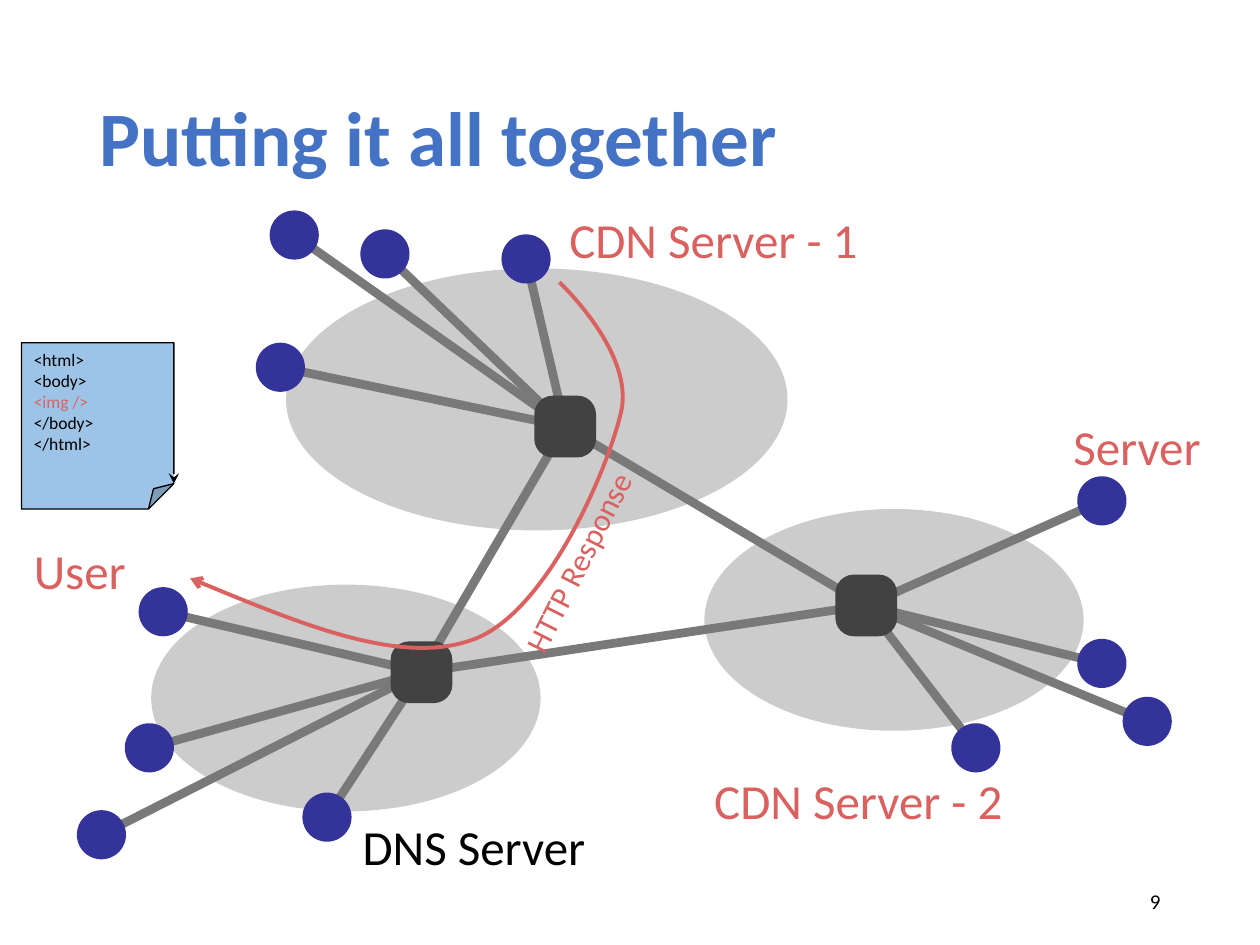
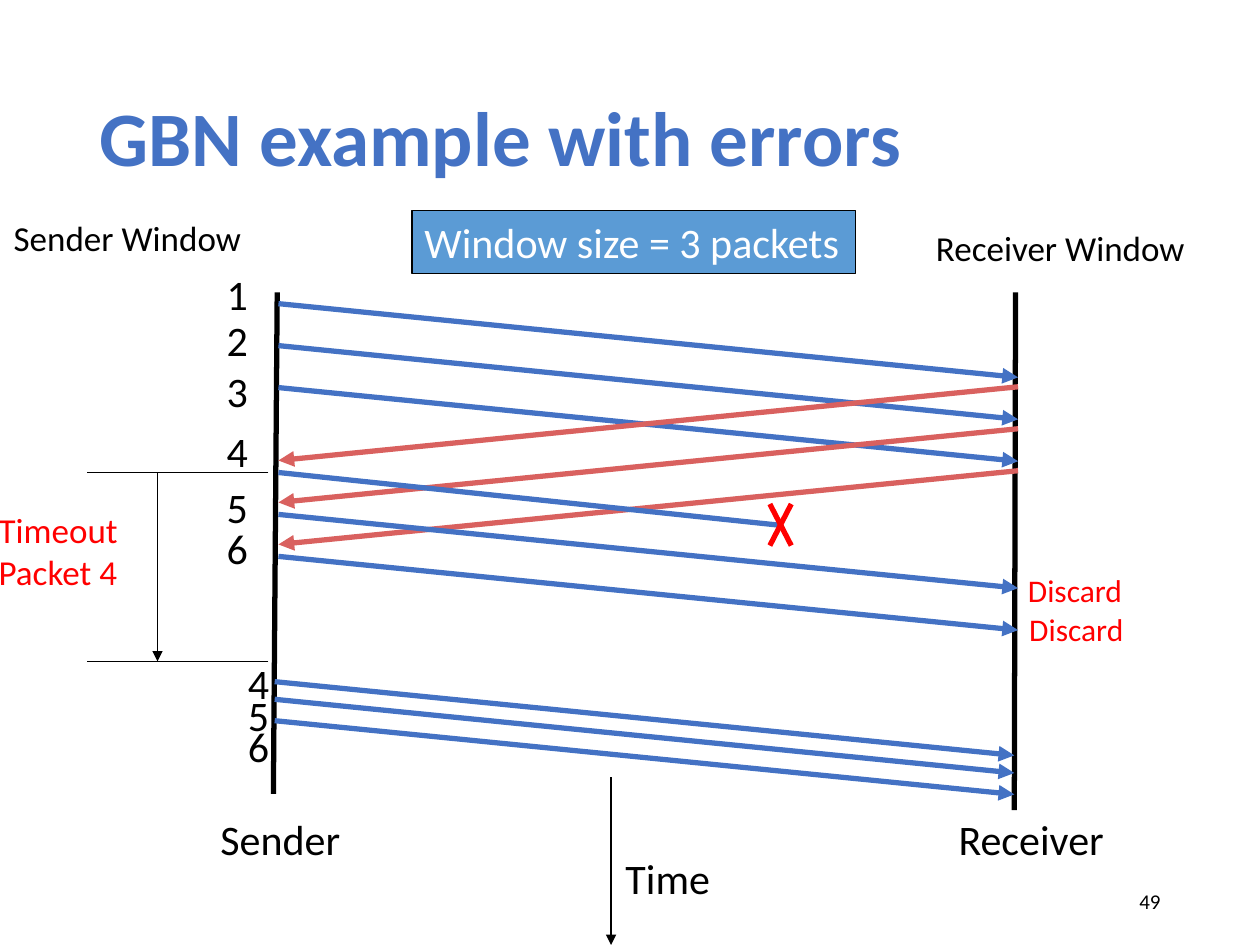
from collections import namedtuple

from lxml import etree
from pptx import Presentation
from pptx.dml.color import RGBColor
from pptx.enum.shapes import MSO_CONNECTOR, MSO_SHAPE
from pptx.enum.text import MSO_ANCHOR, MSO_AUTO_SIZE, PP_ALIGN
from pptx.oxml.ns import qn
from pptx.util import Inches, Pt

STRAIGHT = MSO_CONNECTOR.STRAIGHT
OVAL, RECT = MSO_SHAPE.OVAL, MSO_SHAPE.RECTANGLE
ROUNDED, FOLDED = MSO_SHAPE.ROUNDED_RECTANGLE, MSO_SHAPE.FOLDED_CORNER
TOP, MIDDLE = MSO_ANCHOR.TOP, MSO_ANCHOR.MIDDLE
LEFT, CENTER, RIGHT = PP_ALIGN.LEFT, PP_ALIGN.CENTER, PP_ALIGN.RIGHT

FONT = "Calibri"
COLORS = {
    "title": "4472C4", "black": "000000", "white": "FFFFFF", "coral": "D9615F",
    "red": "FF0000", "cloud": "CCCCCC", "link": "797979", "host": "333399",
    "router": "424242", "paper": "9DC3E6", "banner": "5B9BD5",
}

# Grid of 100 columns by 75 rows of square cells
SLIDE_W, SLIDE_H = Inches(10), Inches(7.5)
CELL = SLIDE_W / 100
Box = namedtuple("Box", "x y w h")
PAGE = Box(0, 0, 100, 75)


def cells(*values):
    return [round(v * CELL) for v in values]


def within(box, x, y, w, h):
    return Box(box.x + x, box.y + y, w, h)


def around(x, y, size):
    return Box(x - size / 2, y - size / 2, size, size)


def rgb(name):
    return RGBColor.from_string(COLORS[name])


def add_end(shape, end, kind):
    ln = shape.element.spPr.find(qn("a:ln"))
    etree.SubElement(ln, qn(f"a:{end}End"), type=kind)


def add_line(s, start, end, color, width, arrow=None):
    c = s.shapes.add_connector(STRAIGHT, *cells(*start, *end))
    c.line.color.rgb = rgb(color)
    c.line.width = Pt(width)
    if arrow:
        add_end(c, "tail", arrow)
    etree.SubElement(c.element.spPr, qn("a:effectLst"))
    return c


def add_shape(s, kind, box, fill, line=None):
    sp = s.shapes.add_shape(kind, *cells(*box))
    sp.shadow.inherit = False
    sp.fill.solid()
    sp.fill.fore_color.rgb = rgb(fill)
    if line:
        sp.line.color.rgb = rgb(line)
        sp.line.width = Pt(0.75)
    else:
        sp.line.fill.background()
    return sp


def write(sp, lines, size, align=LEFT, anchor=TOP, wrap=False, grow=True,
          bold=False, spacing=None):
    """Fill a shape with one run for each (text, colour) line."""
    tf = sp.text_frame
    tf.word_wrap = wrap
    tf.auto_size = MSO_AUTO_SIZE.SHAPE_TO_FIT_TEXT if grow else MSO_AUTO_SIZE.NONE
    tf.vertical_anchor = anchor
    for i, (text, color) in enumerate(lines):
        p = tf.add_paragraph() if i else tf.paragraphs[0]
        p.alignment = align
        if spacing:
            p.line_spacing = spacing
        r = p.add_run()
        r.text = text
        r.font.name = FONT
        r.font.size = Pt(size)
        r.font.bold = bold
        r.font.color.rgb = rgb(color)


def add_text(s, box, lines, size, color="black", **style):
    sp = s.shapes.add_textbox(*cells(*box))
    write(sp, [(text, color) for text in lines.split("\n")], size, **style)
    return sp


def add_curve(s, points, color, width):
    """Chain cubic Bezier curves: a start, then three points per curve."""
    start, *rest = [cells(*pt) for pt in points]
    builder = s.shapes.build_freeform(*start)
    builder.add_line_segments(rest, close=False)
    sp = builder.convert_to_shape()
    segments = list(sp.element.iter(qn("a:lnTo")))
    for i in range(0, len(segments), 3):
        first, *others = segments[i:i + 3]
        first.tag = qn("a:cubicBezTo")
        for seg in others:
            first.append(seg[0])
            seg.getparent().remove(seg)
    sp.shadow.inherit = False
    sp.fill.background()
    sp.line.color.rgb = rgb(color)
    sp.line.width = Pt(width)
    add_end(sp, "head", "arrow")


def new_slide(prs, title, number):
    """Blank slide with the shared title and page number."""
    s = prs.slides.add_slide(prs.slide_layouts[6])
    add_text(s, within(PAGE, 6.9, 4, 86.2, 14.5), title, 44, "title",
             anchor=MIDDLE, wrap=True, grow=False, bold=True, spacing=0.9)
    add_text(s, within(PAGE, 70.6, 69.5, 22.5, 4), str(number), 12,
             align=RIGHT, anchor=MIDDLE, wrap=True, grow=False)
    return s


# Cloud box, then router and host centres measured from its corner
CLUSTERS = [
    (Box(55.9, 40.4, 30.1, 17.6), (12.85, 7.65),
     [(31.55, -0.65), (21.55, 18.95), (31.55, 12.25), (35.15, 16.85)]),
    (Box(22.7, 21.3, 39.8, 20.8), (22.15, 12.55),
     [(-0.45, 7.85), (0.65, -2.65), (7.85, -1.15), (19.05, -0.75)]),
    (Box(12, 46.4, 30.9, 18), (21.45, 6.95),
     [(0.95, 2.15), (13.95, 18.45), (-0.15, 12.95), (-3.95, 19.85)]),
]


def draw_cluster(s, box, router, hosts):
    """Hosts of one network, each linked to its router."""
    hub = (box.x + router[0], box.y + router[1])
    centers = [(box.x + x, box.y + y) for x, y in hosts]
    for center in centers:
        add_line(s, center, hub, "link", 5)
    for center in centers:
        add_shape(s, OVAL, around(*center, 3.9), "host")
    return hub


def draw_network(s, clusters):
    for box, _, _ in clusters:
        add_shape(s, OVAL, box, "cloud")
    hubs = [draw_cluster(s, *cluster) for cluster in clusters]
    # Backbone between the routers
    for i, hub in enumerate(hubs):
        add_line(s, hub, hubs[i - 1], "link", 5)
    for hub in hubs:
        add_shape(s, ROUNDED, around(*hub, 4.9), "router").adjustments[0] = 0.3


def draw_html_page(s, box):
    sp = add_shape(s, FOLDED, box, "paper", "black")
    add_end(sp, "tail", "stealth")
    tags = ["<html>", "<body>", "<img />", "</body>", "</html>"]
    write(sp, [(t, "coral" if "img" in t else "black") for t in tags], 10, grow=False)


def draw_response(s, box):
    """Curved route of the response, with its slanted label."""
    route = [(0, 23.5), (8.5, 27), (16.9, 30.5), (22.6, 28.3), (28.3, 26.1),
             (33.1, 15), (34.2, 10.3), (35.3, 5.6), (29.3, 0), (29.3, 0)]
    add_curve(s, [(box.x + x, box.y + y) for x, y in route], "coral", 2.25)
    label = add_text(s, within(box, 21.9, 20.1, 17.8, 4), "HTTP Response", 18, "coral")
    label.rotation = 296.8


def build_cdn_slide(prs):
    s = new_slide(prs, "Putting it all together", 9)
    draw_network(s, CLUSTERS)
    draw_html_page(s, within(PAGE, 1.7, 27.2, 12.1, 13.2))
    for text, x, y, w, color in [
        ("User", 1.7, 42.4, 9.4, "coral"),
        ("Server", 84.2, 32.6, 12.2, "coral"),
        ("DNS Server", 27.8, 64.3, 23, "black"),
        ("CDN Server - 1", 44.2, 16.1, 25.2, "coral"),
        ("CDN Server - 2", 55.7, 60.7, 25.2, "coral"),
    ]:
        add_text(s, within(PAGE, x, y, w, 5.7), text, 28, color)
    draw_response(s, within(PAGE, 15.1, 22.4, 34.3, 29))


PITCH, DROP = 3.33, 5.85  # rows between packets, rows fallen in transit


def draw_packets(s, box, tops, color="title", back=False):
    """Parallel arrows across the box, leftwards if back."""
    sides = (box.x, box.x + box.w)
    start, end = reversed(sides) if back else sides
    for top in tops:
        y = box.y + top
        add_line(s, (start, y), (end, y + DROP), color, 3, "triangle")


def draw_numbers(s, box, tops, first):
    for n, top in enumerate(tops, first):
        add_text(s, within(box, 0, top, 3.7, 4.9), str(n), 24)


def draw_exchange(s, box):
    """Sender and receiver axes with the packets between them."""
    right, bottom = box.x + box.w, box.y + box.h
    add_line(s, (box.x - 0.1, box.y), (box.x - 0.4, bottom - 1.3), "black", 3)
    add_line(s, (right - 0.2, box.y), (right - 0.3, bottom), "black", 3)
    # Packets 1 to 3 and their acknowledgements
    draw_packets(s, box, [0.9 + PITCH * i for i in range(3)])
    draw_packets(s, box, [7.5 + PITCH * i for i in range(3)], "coral", back=True)
    # Packet 4 is lost, 5 and 6 arrive out of order
    add_line(s, (box.x, box.y + 14.3), (box.x + 39.9, box.y + 18.5), "title", 3)
    draw_cross(s, within(box, 39, 16.8, 1.7, 3.3))
    draw_packets(s, box, [14.3 + PITCH * i for i in (1, 2)])
    draw_numbers(s, within(box, -5.1, 0, 3.7, 24), [-2.4, 1.3, 5.3, 10.1, 14.5, 17.8], 1)
    # Packets 4 to 6 are sent again
    draw_packets(s, within(box, -0.3, 0, box.w, box.h), [30.9, 32.3, 34])
    draw_numbers(s, within(box, -3.4, 28.5, 3.7, 10), [2.5 * i for i in range(3)], 4)
    for x, y in [(58.5, 21.6), (58.6, 24.7)]:
        add_text(s, within(box, x, y, 10.2, 3.7), "Discard", 18, "red")


def draw_cross(s, box):
    top, bottom = box.y, box.y + box.h
    for y1, y2 in [(top, bottom), (bottom, top)]:
        add_line(s, (box.x, y1), (box.x + box.w, y2), "red", 3)


def draw_timeout(s, box):
    """Time span between two rules, with its label on the left."""
    top, bottom = box.y, box.y + box.h
    for y in (top, bottom):
        add_line(s, (box.x + box.w, y), (box.x, y), "black", 0.75)
    x = box.x + 5.6
    add_line(s, (x, top), (x, bottom), "black", 0.75, "triangle")
    add_text(s, within(box, -8, 2.4, 13.2, 5.5), "Timeout\nPacket 4", 20, "red")


def build_gbn_slide(prs):
    s = new_slide(prs, "GBN example with errors", 49)
    # Time axis
    add_line(s, (48.5, 61.7), (48.5, 75), "black", 1, "triangle")
    banner = add_shape(s, RECT, within(PAGE, 32.7, 16.7, 35.2, 5), "banner", "black")
    write(banner, [("Window size = 3 packets", "white")], 24)
    # Axis captions and window headings
    for text, x, y, w in [("Time", 48.3, 67.2, 9.4), ("Sender", 15.8, 64.1, 12.9),
                          ("Receiver", 74.2, 64.1, 15.3)]:
        add_text(s, within(PAGE, x, y, w, 5), text, 24, align=CENTER, anchor=MIDDLE)
    for text, x, y, w in [("Sender Window", 0.1, 16.7, 22.8),
                          ("Receiver Window", 73.3, 17.5, 25)]:
        add_text(s, within(PAGE, x, y, w, 4.3), text, 20)
    draw_exchange(s, within(PAGE, 22.1, 23.2, 58.7, 41.1))
    draw_timeout(s, within(PAGE, 6.9, 37.5, 14.4, 15))


def main():
    prs = Presentation()
    prs.slide_width, prs.slide_height = SLIDE_W, SLIDE_H
    build_cdn_slide(prs)
    build_gbn_slide(prs)
    prs.save("out.pptx")


if __name__ == "__main__":
    main()
